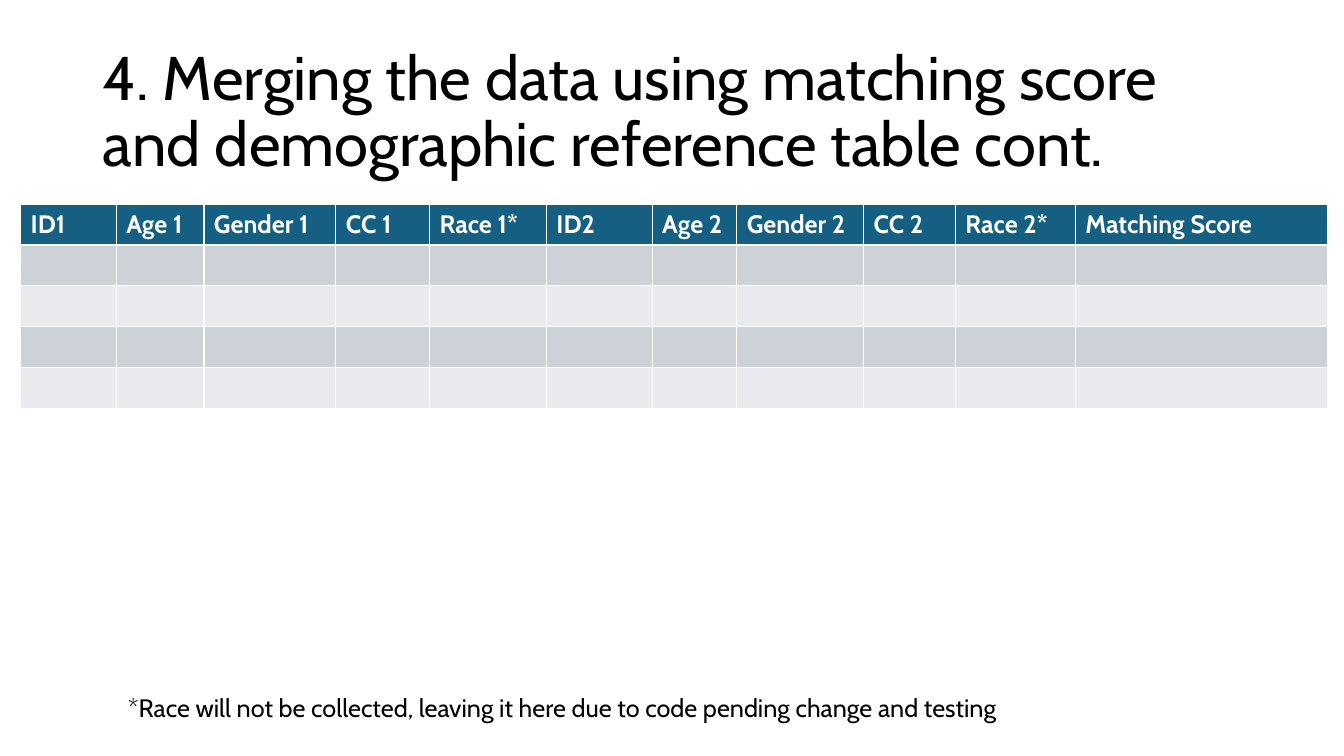
from pptx import Presentation
from pptx import util as u
from pptx.dml import color
from pptx.enum import text

WHITE = color.RGBColor(0xFF, 0xFF, 0xFF)
BLACK = color.RGBColor(0x00, 0x00, 0x00)
HEADER_BLUE = color.RGBColor(0x15, 0x60, 0x82)
BAND_DARK = color.RGBColor(0xCC, 0xD2, 0xD8)
BAND_LIGHT = color.RGBColor(0xE8, 0xEA, 0xED)

HEADERS = ["ID1", "Age 1", "Gender 1", "CC 1", "Race 1*", "ID2",
           "Age 2", "Gender 2", "CC 2", "Race 2*", "Matching Score"]
COLUMN_WEIGHTS = [0.95, 0.87, 1.31, 0.93, 1.16, 1.05, 0.84, 1.26, 0.91, 1.19, 2.51]
BODY_ROWS = 4


class SlideBuilder:
    font = "Cabin"
    title_size = u.Pt(44)
    body_size = u.Pt(18)

    def __init__(self, presentation):
        self.width = presentation.slide_width
        self.height = presentation.slide_height
        self.slide = presentation.slides.add_slide(presentation.slide_layouts[5])

    def place(self, left, top, width, height):
        return (round(self.width * left / 100), round(self.height * top / 100),
                round(self.width * width / 100), round(self.height * height / 100))

    def set_words(self, text_frame, words, size, font_color, bold=False):
        text_frame.text = words
        for paragraph in text_frame.paragraphs:
            paragraph.alignment = text.PP_ALIGN.LEFT
            for run in paragraph.runs:
                run.font.name = self.font
                run.font.size = size
                run.font.bold = bold
                run.font.color.rgb = font_color

    def title(self, words, *area):
        title = self.slide.shapes.title
        title.left, title.top, title.width, title.height = self.place(*area)
        text_frame = title.text_frame
        self.set_words(text_frame, words, self.title_size, BLACK)
        text_frame.auto_size = text.MSO_AUTO_SIZE.NONE
        text_frame.vertical_anchor = text.MSO_ANCHOR.MIDDLE
        text_frame.paragraphs[0].line_spacing = 0.9

    def table(self, headers, weights, body_rows, *area):
        left, top, width, height = self.place(*area)
        table = self.slide.shapes.add_table(
            body_rows + 1, len(headers), left, top, width, height).table
        for column, weight in zip(table.columns, weights):
            column.width = round(width * weight / sum(weights))
        for row_index, row in enumerate(table.rows):
            band = BAND_DARK if row_index % 2 else BAND_LIGHT
            for cell in row.cells:
                cell.fill.solid()
                cell.fill.fore_color.rgb = band if row_index else HEADER_BLUE
        for cell, header in zip(table.rows[0].cells, headers):
            self.set_words(cell.text_frame, header, self.body_size, WHITE, bold=True)

    def note(self, words, *area):
        text_frame = self.slide.shapes.add_textbox(*self.place(*area)).text_frame
        text_frame.word_wrap = False
        text_frame.auto_size = text.MSO_AUTO_SIZE.SHAPE_TO_FIT_TEXT
        self.set_words(text_frame, words, self.body_size, BLACK)


def main():
    presentation = Presentation()
    presentation.slide_width = u.Inches(13.33)
    presentation.slide_height = u.Inches(7.5)
    builder = SlideBuilder(presentation)
    builder.title("4. Merging the data using matching score and demographic reference table cont.",
                  6.9, 5.33, 86.27, 19.33)
    builder.table(HEADERS, COLUMN_WEIGHTS, BODY_ROWS, 1.53, 27, 97.3, 27.05)
    builder.note("*Race will not be collected, leaving it here due to code pending change and testing",
                 8.78, 90.93, 68.19, 5.33)
    presentation.save("out.pptx")


if __name__ == "__main__":
    main()
